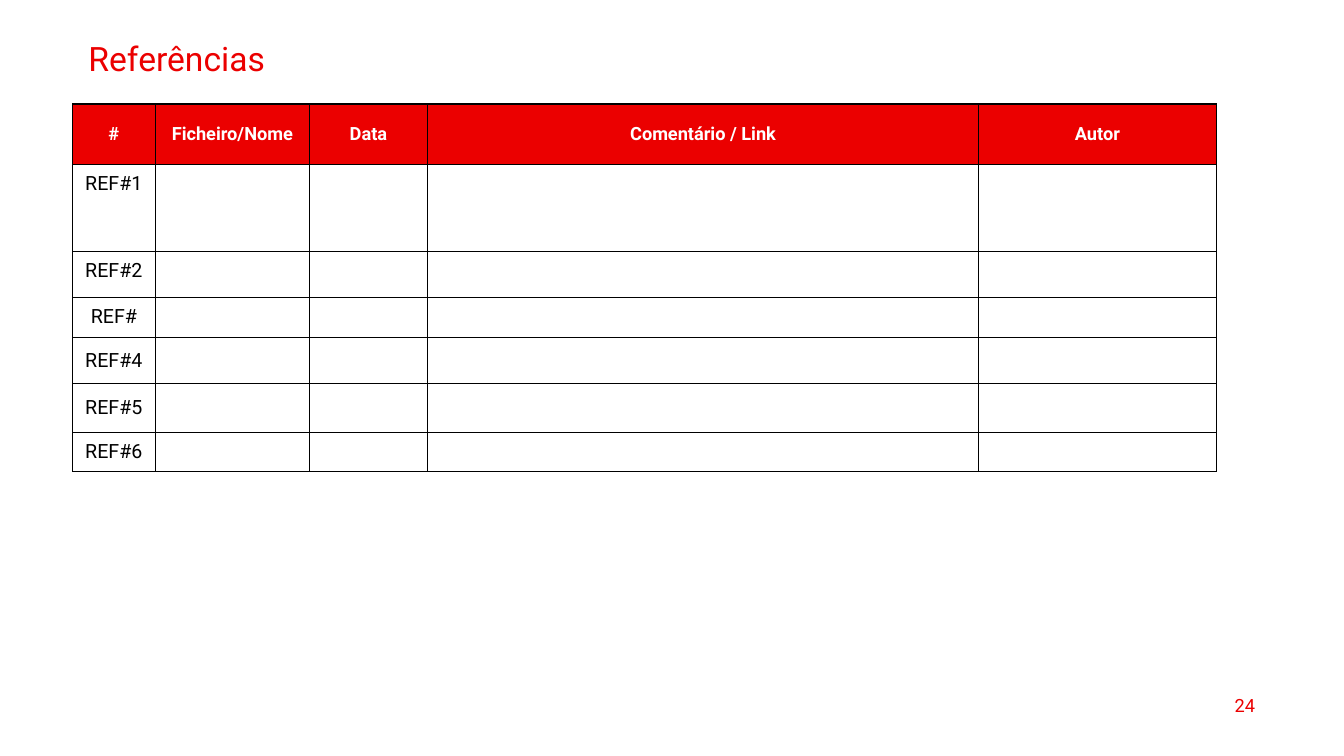
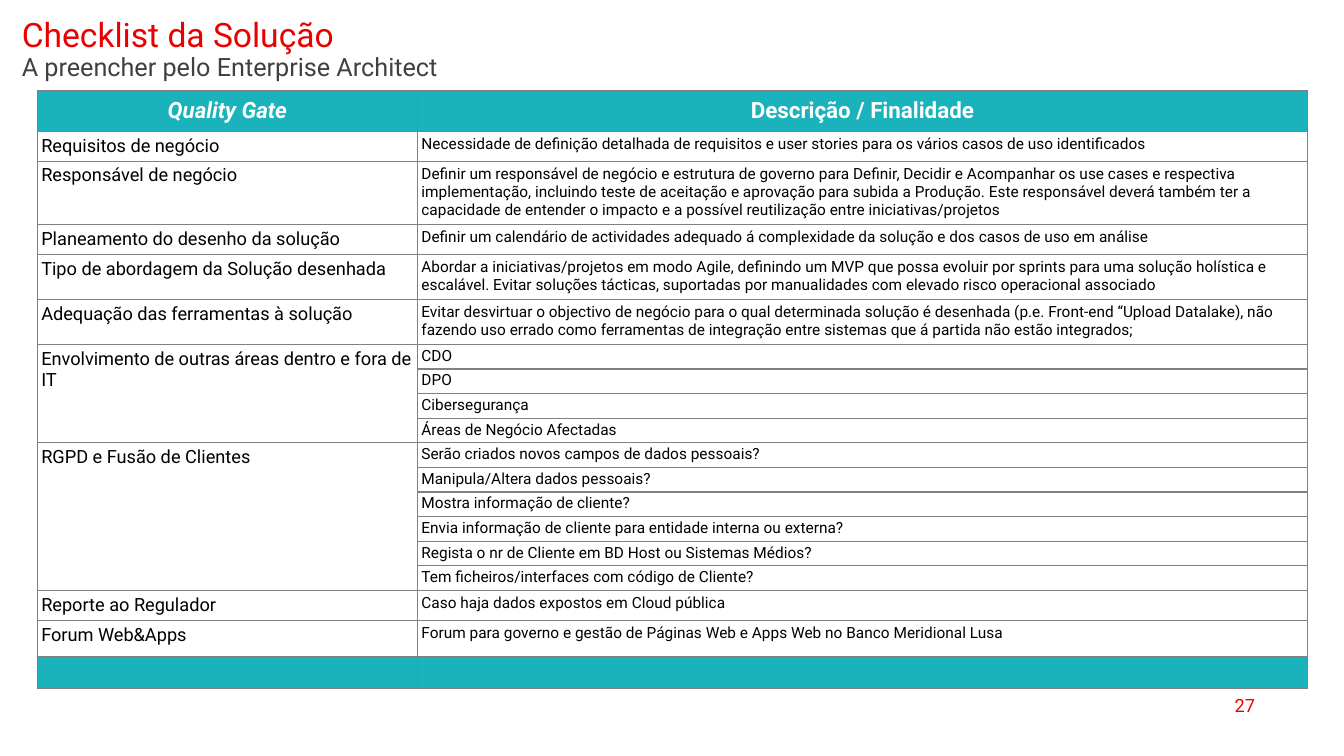
from lxml.etree import SubElement
from pptx import Presentation
from pptx.dml.color import RGBColor
from pptx.enum.text import MSO_ANCHOR as Anchor, PP_ALIGN as Align
from pptx.oxml.ns import qn
from pptx.util import Cm, Pt

RED, TEAL, WHITE = "EB0000", "1AB2BB", "FFFFFF"
BLACK, GREY, DARK = "000000", "808080", "404040"
rgb = RGBColor.from_string


def write(frame, text, size, ink, align=Align.LEFT, bold=False):
    """Put one styled paragraph in a text frame and return it."""
    par = frame.paragraphs[0]
    par.text = text
    par.alignment = align
    font = par.font
    font.name, font.size, font.bold = "Roboto", Pt(size), bold
    font.color.rgb = rgb(ink)
    return par


def grid(slide, left, top, cols, rows, pad, line, head, ink):
    """Add a ruled table with a filled header row; lengths in cm."""
    table = slide.shapes.add_table(
        len(rows), len(cols), Cm(left), Cm(top), Cm(sum(cols)), Cm(sum(rows))
    ).table
    table.first_row = table.horz_banding = False
    for col, width in zip(table.columns, cols):
        col.width = Cm(width)
    for row, height in zip(table.rows, rows):
        row.height = Cm(height)
    for cell in table.iter_cells():
        cell.margin_left = cell.margin_right = Cm(pad)
        cell.margin_top = cell.margin_bottom = 0
        props = cell._tc.get_or_add_tcPr()
        for side in ("lnL", "lnR", "lnT", "lnB"):
            edge = SubElement(props, qn("a:" + side), w=str(Pt(1)))
            fill = SubElement(edge, qn("a:solidFill"))
            SubElement(fill, qn("a:srgbClr"), val=line)
        cell.fill.background()
    for cell, (text, size) in zip(table.rows[0].cells, head):
        cell.fill.solid()
        cell.fill.fore_color.rgb = rgb(ink)
        cell.vertical_anchor = Anchor.MIDDLE
        write(cell.text_frame, text, size, WHITE, Align.CENTER, True)
    return table


deck = Presentation()
deck.slide_width, deck.slide_height = Cm(33.87), Cm(19.05)

# Titles and page numbers
slides, titles = [], []
for title, page, left, top, width, height in (
    ("Referências", "24", 1.98, 0.94, 29.9, 0.84),
    ("Checklist da Solução", "27", 0.3, 0.33, 17.17, 1.5),
):
    slide = deck.slides.add_slide(deck.slide_layouts[6])
    box = slide.shapes.add_textbox(Cm(left), Cm(top), Cm(width), Cm(height))
    box.text_frame.word_wrap = True
    par = write(box.text_frame, title, 24, RED)
    par.line_spacing = 0.9
    foot = slide.shapes.add_textbox(Cm(24.26), Cm(17.25), Cm(7.62), Cm(1.02))
    foot.text_frame.word_wrap = True
    foot.text_frame.vertical_anchor = Anchor.MIDDLE
    write(foot.text_frame, page, 13, RED, Align.RIGHT)
    slides.append(slide)
    titles.append(par)

# References
heads = ("#", "Ficheiro/Nome", "Data", "Comentário / Link", "Autor")
refs = ("REF#1", "REF#2", "REF#", "REF#4", "REF#5", "REF#6")
table = grid(
    slides[0], 1.83, 2.62, (2.08, 3.89, 2.97, 13.89, 5.99),
    (1.53, 2.19, 1.16, 1, 1.16, 1.23, 1), 0.2, BLACK,
    [(head, 13) for head in heads], RED,
)
for row, ref in enumerate(refs, 1):
    cell = table.cell(row, 0)
    cell.margin_top = cell.margin_bottom = Cm(0.2)
    cell.vertical_anchor = Anchor.MIDDLE if row > 3 else Anchor.TOP
    write(cell.text_frame, ref, 14, BLACK, Align.CENTER)

# Solution checklist
titles[1].add_line_break()
run = titles[1].add_run()
run.text = "A preencher pelo Enterprise Architect"
run.font.size = Pt(18)
run.font.color.rgb = rgb(DARK)

gates = (
    ("Requisitos de negócio", [
        "Necessidade de definição detalhada de requisitos e user stories para "
        "os vários casos de uso identificados"]),
    ("Responsável de negócio", [
        "Definir um responsável de negócio e estrutura de governo para Definir, "
        "Decidir e Acompanhar os use cases e respectiva implementação, "
        "incluindo teste de aceitação e aprovação para subida a Produção. Este "
        "responsável deverá também ter a capacidade de entender o impacto e a "
        "possível reutilização entre iniciativas/projetos"]),
    ("Planeamento do desenho da solução", [
        "Definir um calendário de actividades adequado á complexidade da "
        "solução e dos casos de uso em análise"]),
    ("Tipo de abordagem da Solução desenhada", [
        "Abordar a iniciativas/projetos em modo Agile, definindo um MVP que "
        "possa evoluir por sprints para uma solução holística e escalável. "
        "Evitar soluções tácticas, suportadas por manualidades com elevado "
        "risco operacional associado"]),
    ("Adequação das ferramentas à solução", [
        "Evitar desvirtuar o objectivo de negócio para o qual determinada "
        "solução é desenhada (p.e. Front-end “Upload Datalake), não fazendo "
        "uso errado como ferramentas de integração entre sistemas que á "
        "partida não estão integrados;"]),
    ("Envolvimento de outras áreas dentro e fora de IT", [
        "CDO",
        "DPO",
        "Cibersegurança",
        "Áreas de Negócio Afectadas"]),
    ("RGPD e Fusão de Clientes", [
        "Serão criados novos campos de dados pessoais?",
        "Manipula/Altera dados pessoais?",
        "Mostra informação de cliente?",
        "Envia informação de cliente para entidade interna ou externa?",
        "Regista o nr de Cliente em BD Host ou Sistemas Médios?",
        "Tem ficheiros/interfaces com código de Cliente?"]),
    ("Reporte ao Regulador", ["Caso haja dados expostos em Cloud pública"]),
    ("Forum Web&Apps", [
        "Forum para governo e gestão de Páginas Web e Apps Web no Banco "
        "Meridional Lusa"]),
)
table = grid(
    slides[1], 0.94, 2.29, (9.58, 22.43),
    (1.02, 0.74, 1.56, 0.74, 1.11, 1.11, *[0.61] * 10, 0.74, 0.92, 0.79),
    0.1, GREY, (("Quality Gate", 16), ("Descrição / Finalidade", 16)), TEAL,
)
table.cell(0, 0).text_frame.paragraphs[0].font.italic = True
row = 1
for gate, goals in gates:
    name = table.cell(row, 0)
    if len(goals) > 1:
        name.merge(table.cell(row + len(goals) - 1, 0))
    name.margin_top = name.margin_bottom = Cm(0.1)
    write(name.text_frame, gate, 13, BLACK)
    for goal in goals:
        cell = table.cell(row, 1)
        cell.margin_top = cell.margin_bottom = Cm(0.1)
        par = write(cell.text_frame, goal, 11, BLACK)
        if len(goals) > 1:
            par.line_spacing = 0.9
        row += 1
for cell in table.rows[row].cells:
    cell.fill.solid()
    cell.fill.fore_color.rgb = rgb(TEAL)

deck.save("out.pptx")
